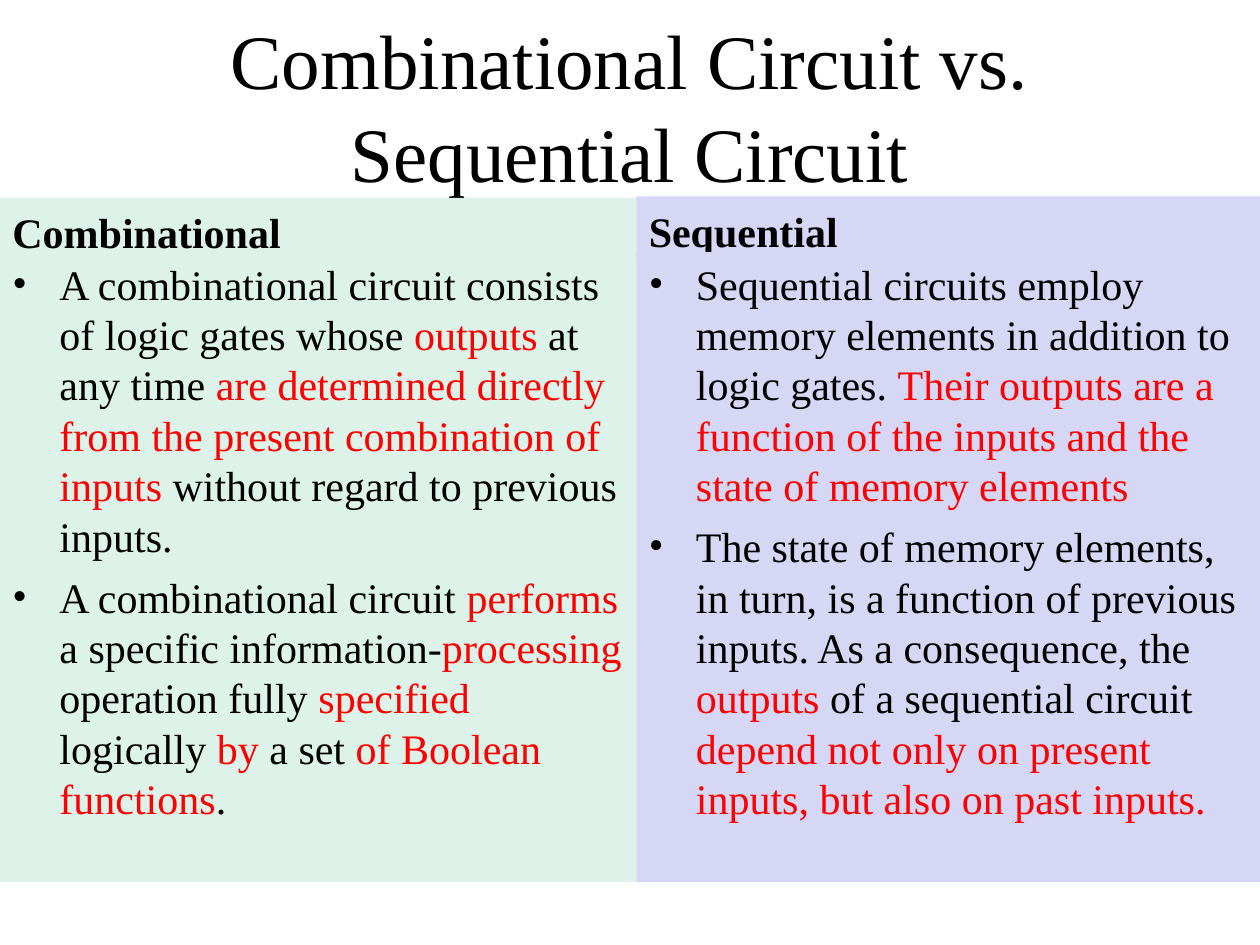
"""Build a slide that compares combinational and sequential circuits."""
from lxml import etree
from pptx import Presentation
from pptx.dml.color import RGBColor
from pptx.enum.shapes import MSO_SHAPE
from pptx.enum.text import MSO_ANCHOR, PP_ALIGN
from pptx.oxml.ns import qn
from pptx.util import Cm, Pt

RECT = MSO_SHAPE.RECTANGLE
TOP, MIDDLE, BOTTOM = MSO_ANCHOR.TOP, MSO_ANCHOR.MIDDLE, MSO_ANCHOR.BOTTOM
LEFT, CENTER = PP_ALIGN.LEFT, PP_ALIGN.CENTER
FONT = "Times New Roman"
BLACK, RED = "000000", "FF0000"
HEAD_H, BODY_TOP, BODY_H = 1.32, 5.08, 12.7
INDENT = Cm(0.95)


def paint(target, color):
    target.rgb = RGBColor.from_string(color)


def add_run(par, text, size, color=BLACK, bold=False):
    run = par.add_run()
    run.text = text
    run.font.name = FONT
    run.font.size = Pt(size)
    run.font.bold = bold
    paint(run.font.color, color)


columns = [
    ("Combinational", "DDF3EA", 0, 12.83, 3.99, [
        [("A combinational circuit consists of logic gates whose ", BLACK),
         ("outputs", RED),
         (" at any time ", BLACK),
         ("are determined directly from the present combination of inputs", RED),
         (" without regard to previous inputs.", BLACK)],
        [("A combinational circuit ", BLACK),
         ("performs ", RED),
         ("a specific information-", BLACK),
         ("processing", RED),
         (" operation fully ", BLACK),
         ("specified", RED),
         (" logically ", BLACK),
         ("by", RED),
         (" a set ", BLACK),
         ("of Boolean functions", RED),
         (".", BLACK)],
    ]),
    ("Sequential", "D6D6F5", 12.83, 12.57, 3.96, [
        [("Sequential circuits employ memory elements in addition to logic gates. ", BLACK),
         ("Their outputs are a function of the inputs and the state of memory elements", RED)],
        [("The state of memory elements, in turn, is a function of previous inputs. "
          "As a consequence, the ", BLACK),
         ("outputs", RED),
         (" of a sequential circuit ", BLACK),
         ("depend not only on present inputs, but also on past inputs.", RED)],
    ]),
]

deck = Presentation()
deck.slide_width, deck.slide_height = Cm(25.4), Cm(19.05)
slide = deck.slides.add_slide(deck.slide_layouts[6])

title = slide.shapes.add_textbox(Cm(1.75), Cm(0.28), Cm(21.9), Cm(3.68)).text_frame
title.word_wrap = True
title.vertical_anchor = MIDDLE
title.paragraphs[0].alignment = CENTER
add_run(title.paragraphs[0], "Combinational Circuit vs. Sequential Circuit", 44)

for name, fill, left, width, head_top, points in columns:
    frames = []
    for top, height, anchor in ((head_top, HEAD_H, BOTTOM), (BODY_TOP, BODY_H, TOP)):
        panel = slide.shapes.add_shape(RECT, Cm(left), Cm(top), Cm(width), Cm(height))
        panel.shadow.inherit = False
        panel.fill.solid()
        paint(panel.fill.fore_color, fill)
        panel.line.fill.background()
        panel.text_frame.word_wrap = True
        panel.text_frame.vertical_anchor = anchor
        frames.append(panel.text_frame)
    head, body = frames

    par = head.paragraphs[0]
    par.alignment = LEFT
    par.space_before = Pt(6)
    add_run(par, name, 24, bold=True)

    for i, parts in enumerate(points):
        par = body.add_paragraph() if i else body.paragraphs[0]
        par.alignment = LEFT
        par.space_before = Pt(6)
        props = par._p.get_or_add_pPr()
        props.set("marL", str(INDENT))
        props.set("indent", str(-INDENT))
        tint = etree.SubElement(props, qn("a:buClr"))
        etree.SubElement(tint, qn("a:srgbClr"), val=BLACK)
        etree.SubElement(props, qn("a:buFont"), typeface=FONT)
        etree.SubElement(props, qn("a:buChar"), char="•")
        for text, color in parts:
            add_run(par, text, 24, color)

deck.save("out.pptx")
